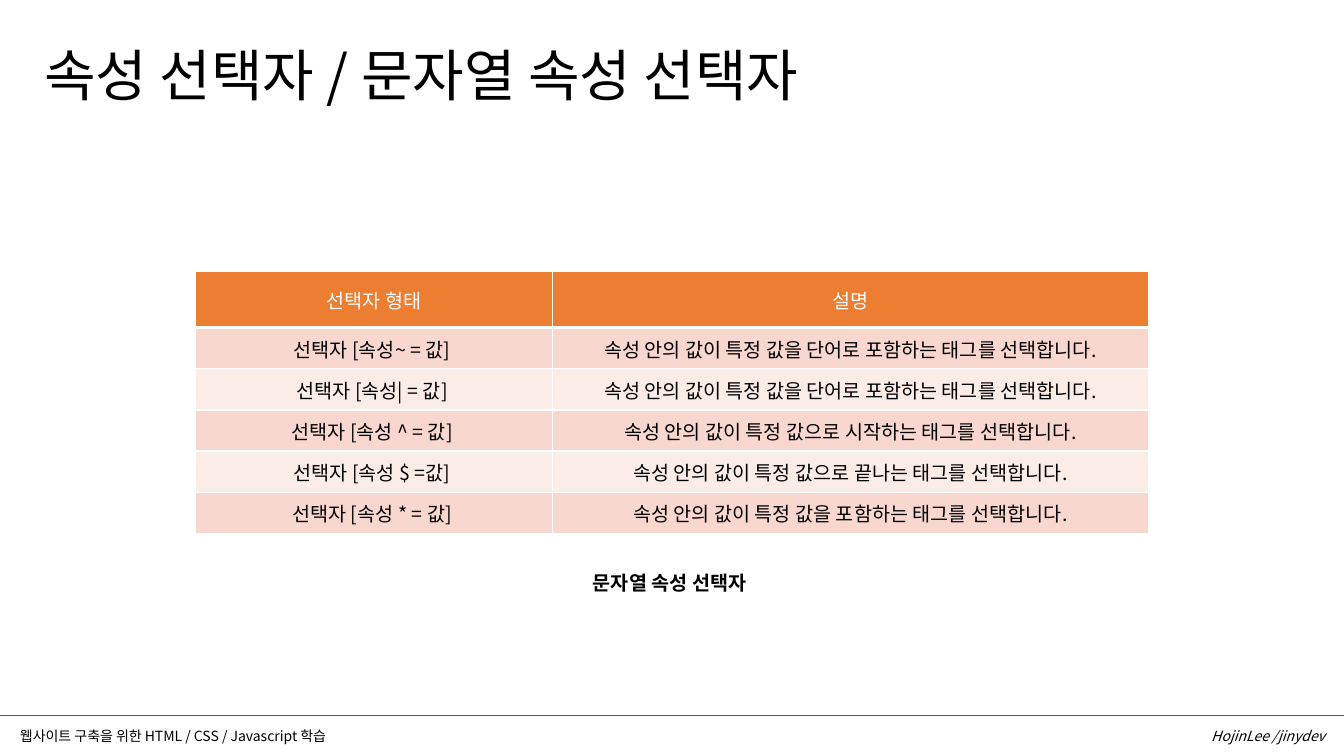
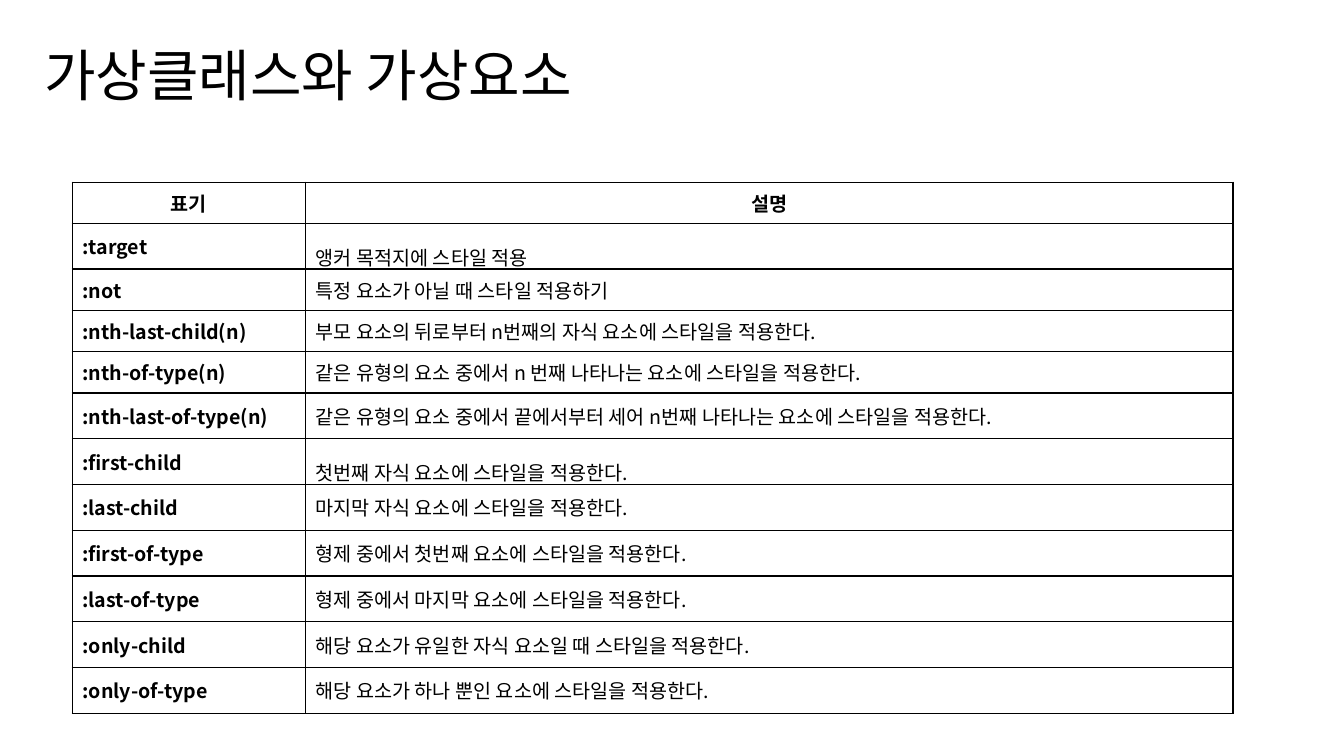
from lxml.etree import SubElement
from pptx import Presentation
from pptx.dml.color import RGBColor
from pptx.enum.shapes import MSO_CONNECTOR as Connector
from pptx.enum.text import MSO_ANCHOR as Anchor
from pptx.enum.text import MSO_AUTO_SIZE as AutoSize
from pptx.enum.text import PP_ALIGN as Align
from pptx.oxml import parse_xml
from pptx.oxml.ns import nsdecls, qn
from pptx.util import Inches, Pt

COLUMNS, ROWS = 160, 90
WIDTH, HEIGHT = Inches(13.33), Inches(7.5)
FONT = "Noto Sans CJK KR"
COLORS = {
    "text": "000000",
    "paper": "FFFFFF",
    "header": "ED7D31",
    "band_dark": "F8D7CE",
    "band_light": "FCECE8",
    "footer_line": "595959",
}
TITLE = {"size": Pt(40)}
FOOTER = {"size": Pt(10)}
AUTHOR = {"size": Pt(10), "italic": True}
BODY = {"size": Pt(14), "bold": False}
STRONG = {"size": Pt(14), "bold": True}
TIGHT = {"margin_left": Inches(0.01), "margin_top": Inches(0.01),
         "margin_right": Inches(0.01), "margin_bottom": 0}

STRING_SELECTORS = [
    ("선택자 형태", "설명"),
    ("선택자 [속성~ = 값] ", "속성 안의 값이 특정 값을 단어로 포함하는 태그를 선택합니다."),
    ("선택자 [속성| = 값] ", "속성 안의 값이 특정 값을 단어로 포함하는 태그를 선택합니다."),
    ("선택자 [속성 ^ = 값] ", "속성 안의 값이 특정 값으로 시작하는 태그를 선택합니다."),
    ("선택자 [속성 $ =값] ", "속성 안의 값이 특정 값으로 끝나는 태그를 선택합니다."),
    ("선택자 [속성 * = 값] ", "속성 안의 값이 특정 값을 포함하는 태그를 선택합니다."),
]
PSEUDO_SELECTORS = [
    ("표기", "설명"),
    (":target", "앵커 목적지에 스타일 적용"),
    (":not", "특정 요소가 아닐 때 스타일 적용하기"),
    (":nth-last-child(n)", "부모 요소의 뒤로부터 n번째의 자식 요소에 스타일을 적용한다."),
    (":nth-of-type(n)", "같은 유형의 요소 중에서 n 번째 나타나는 요소에 스타일을 적용한다."),
    (":nth-last-of-type(n)",
     "같은 유형의 요소 중에서 끝에서부터 세어 n번째 나타나는 요소에 스타일을 적용한다."),
    (":first-child", "첫번째 자식 요소에 스타일을 적용한다."),
    (":last-child", "마지막 자식 요소에 스타일을 적용한다."),
    (":first-of-type", "형제 중에서 첫번째 요소에 스타일을 적용한다."),
    (":last-of-type", "형제 중에서 마지막 요소에 스타일을 적용한다."),
    (":only-child", "해당 요소가 유일한 자식 요소일 때 스타일을 적용한다."),
    (":only-of-type", "해당 요소가 하나 뿐인 요소에 스타일을 적용한다."),
]
WIDE_SPACED = {":target", ":first-child"}


def across(columns):
    return round(WIDTH * columns / COLUMNS)


def down(rows):
    return round(HEIGHT * rows / ROWS)


def set_attributes(target, values):
    for name, value in values.items():
        setattr(target, name, value)


def write(frame, text, style, color="text", align=Align.LEFT, spacing=None):
    paragraph = frame.paragraphs[0]
    set_attributes(paragraph, {"alignment": align, "line_spacing": spacing})
    run = paragraph.add_run()
    run.text = text
    set_attributes(run.font, {"name": FONT, **style})
    run.font.color.rgb = RGBColor.from_string(COLORS[color])
    SubElement(run.font._element, qn("a:ea")).set("typeface", FONT)


def add_text(slide, box, text, style, align=Align.LEFT, wrap=True):
    left, top, width, height = box
    shape = slide.shapes.add_textbox(across(left), down(top), across(width), down(height))
    set_attributes(shape.text_frame, {"word_wrap": wrap, "auto_size": AutoSize.SHAPE_TO_FIT_TEXT})
    write(shape.text_frame, text, style, align=align)


def add_title(slide, text, width):
    add_text(slide, (4.1, 4.2, width, 9.2), text, TITLE)


def add_footer(slide):
    line = slide.shapes.add_connector(Connector.STRAIGHT, 0, down(85.2), WIDTH, down(85.2))
    line.line.width = Pt(0.5)
    line.line.color.rgb = RGBColor.from_string(COLORS["footer_line"])
    SubElement(line._element.spPr, qn("a:effectLst"))
    add_text(slide, (121.8, 86, 37.1, 3.2), "HojinLee /jinydev", AUTHOR, Align.RIGHT)
    add_text(slide, (1.2, 86, 50.5, 3.2),
             "웹사이트 구축을 위한 HTML / CSS / Javascript 학습", FOOTER)


def set_borders(cell, color, bottom=1):
    """Draw 1 pt sides; the border elements come before the cell's fill."""
    properties = cell._tc.get_or_add_tcPr()
    for index, (side, points) in enumerate({"L": 1, "R": 1, "T": 1, "B": bottom}.items()):
        properties.insert(index, parse_xml(
            f'<a:ln{side} {nsdecls("a")} w="{Pt(points)}"><a:solidFill>'
            f'<a:srgbClr val="{COLORS[color]}"/></a:solidFill></a:ln{side}>'))


def add_grid(slide, left, top, widths, heights):
    """Add an unstyled table with the given column widths and row heights."""
    table = slide.shapes.add_table(
        len(heights), len(widths), across(left), down(top),
        across(sum(widths)), down(sum(heights))).table
    set_attributes(table, {"first_row": False, "horz_banding": False})
    for column, width in zip(table.columns, widths):
        column.width = across(width)
    for row, height in zip(table.rows, heights):
        row.height = down(height)
    for cell in table.iter_cells():
        cell.vertical_anchor = Anchor.MIDDLE
    return table


def add_banded_table(slide, entries):
    widths = (42.5, 70.9)
    heights = [6.7] + [4.9] * (len(entries) - 1)
    table = add_grid(slide, (COLUMNS - sum(widths)) / 2, 32.3, widths, heights)
    for row, entry in enumerate(entries):
        header = row == 0
        fill = "header" if header else ("band_light", "band_dark")[row % 2]
        for column, text in enumerate(entry):
            cell = table.cell(row, column)
            cell.fill.solid()
            cell.fill.fore_color.rgb = RGBColor.from_string(COLORS[fill])
            set_borders(cell, "paper", bottom=3 if header else 1)
            set_attributes(cell, {} if header else TIGHT)
            write(cell.text_frame, text, BODY, "paper" if header else "text", Align.CENTER)


def add_ruled_table(slide, entries):
    heights = [4.92] * 5 + [5.45] * (len(entries) - 5)
    table = add_grid(slide, 8.6, 21.7, (27.8, 110.4), heights)
    for row, entry in enumerate(entries):
        for column, text in enumerate(entry):
            cell = table.cell(row, column)
            cell.fill.background()
            set_borders(cell, "text")
            write(cell.text_frame, text,
                  STRONG if row == 0 or column == 0 else BODY,
                  align=Align.CENTER if row == 0 else Align.LEFT,
                  spacing=1.5 if column == 1 and entry[0] in WIDE_SPACED else None)


def main():
    presentation = Presentation()
    set_attributes(presentation, {"slide_width": WIDTH, "slide_height": HEIGHT})
    blank = presentation.slide_layouts[6]

    slide = presentation.slides.add_slide(blank)
    add_title(slide, "속성 선택자 / 문자열 속성 선택자", 105.6)
    add_banded_table(slide, STRING_SELECTORS)
    add_text(slide, (69.4, 67.4, 21.4, 4.1), "문자열 속성 선택자", STRONG, wrap=False)
    add_footer(slide)

    slide = presentation.slides.add_slide(blank)
    add_title(slide, "가상클래스와 가상요소", 80)
    add_ruled_table(slide, PSEUDO_SELECTORS)

    presentation.save("out.pptx")


if __name__ == "__main__":
    main()
